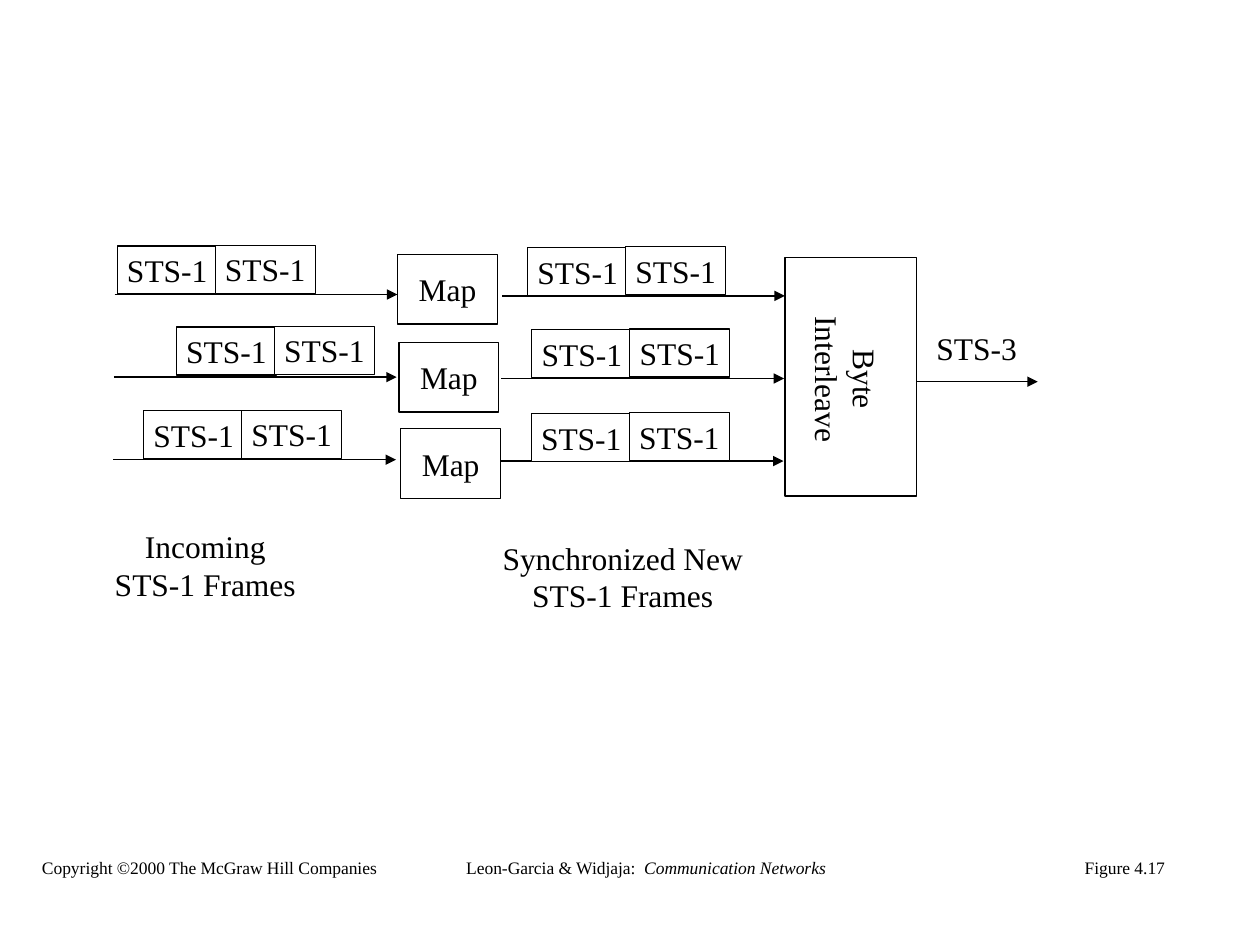
from pptx import Presentation
from pptx.dml.color import RGBColor
from pptx.enum import shapes, text
from pptx.oxml.ns import qn
from pptx.util import Pt
from lxml import etree

COLORS = {"ink": "000000", "paper": "FFFFFF"}
INK = RGBColor.from_string(COLORS["ink"])
PAPER = RGBColor.from_string(COLORS["paper"])

prs = Presentation()
prs.slide_width, prs.slide_height = Pt(720), Pt(540)
s = prs.slides.add_slide(prs.slide_layouts[6])


def write(sp, lines, size=18):
    tf = sp.text_frame
    tf.word_wrap = False
    tf.vertical_anchor = text.MSO_ANCHOR.MIDDLE
    for i, line in enumerate(lines):
        p = tf.paragraphs[0] if i == 0 else tf.add_paragraph()
        p.alignment = text.PP_ALIGN.CENTER
        for words, italic in line:
            r = p.add_run()
            r.text = words
            r.font.name = "Times New Roman"
            r.font.size = Pt(size)
            r.font.italic = italic
            r.font.color.rgb = INK


def arrow(x, y, length):
    c = s.shapes.add_connector(shapes.MSO_CONNECTOR.STRAIGHT, Pt(x), Pt(y), Pt(x + length), Pt(y))
    c.line.color.rgb = INK
    c.line.width = Pt(0.75)
    etree.SubElement(c.line._get_or_add_ln(), qn("a:tailEnd"), type="triangle")
    etree.SubElement(c._element.spPr, qn("a:effectLst"))


for x, y in [(65.5, 168.3), (286.9, 169.1)]:
    for row in range(3):
        arrow(x - 0.4 * row, y + 47.2 * row, 161.6)
arrow(523.6, 218.1, 69.4)

frame_pairs = [
    (67, 140.6), (100.8, 186.8), (82.1, 234.8),
    (301.5, 141.4), (303.9, 188.4), (303.6, 236.3),
]
boxes = []
for x, y in frame_pairs:
    boxes += [(x, y, 57.2, 27.5, "STS-1"), (x + 56, y - 0.4, 57.2, 27.5, "STS-1")]
for x, y in [(227.2, 145.4), (228, 195.7), (229, 245)]:
    boxes.append((x, y, 57, 39.8, "Map"))
boxes.append((448.6, 147.2, 75, 136.2, ""))

for x, y, w, h, label in boxes:
    sp = s.shapes.add_shape(shapes.MSO_SHAPE.RECTANGLE, Pt(x), Pt(y), Pt(w), Pt(h))
    sp.shadow.inherit = False
    sp.fill.solid()
    sp.fill.fore_color.rgb = PAPER
    sp.line.color.rgb = INK
    sp.line.width = Pt(0.75)
    if label:
        write(sp, [[(label, False)]])

captions = [
    (440.6, 191.5, 86.4, 50.4, 90, 18, [[("Byte", False)], [("Interleave", False)]]),
    (527.9, 184.6, 60.5, 28.8, 0, 18, [[("STS-3", False)]]),
    (58.3, 297.7, 118, 50.4, 0, 18, [[("Incoming", False)], [("STS-1 Frames", False)]]),
    (279.9, 304.2, 152, 50.4, 0, 18, [[("Synchronized New", False)], [("STS-1 Frames", False)]]),
    (612.5, 486, 60.5, 19.4, 0, 10, [[("Figure 4.17", False)]]),
    (259, 486, 220.3, 19.4, 0, 10,
     [[("Leon-Garcia & Widjaja:  ", False), ("Communication Networks", True)]]),
    (16.6, 486, 206, 19.4, 0, 10, [[("Copyright ©2000 The McGraw Hill Companies", False)]]),
]
for x, y, w, h, angle, size, lines in captions:
    sp = s.shapes.add_textbox(Pt(x), Pt(y), Pt(w), Pt(h))
    sp.rotation = angle
    write(sp, lines, size)

prs.save("out.pptx")
